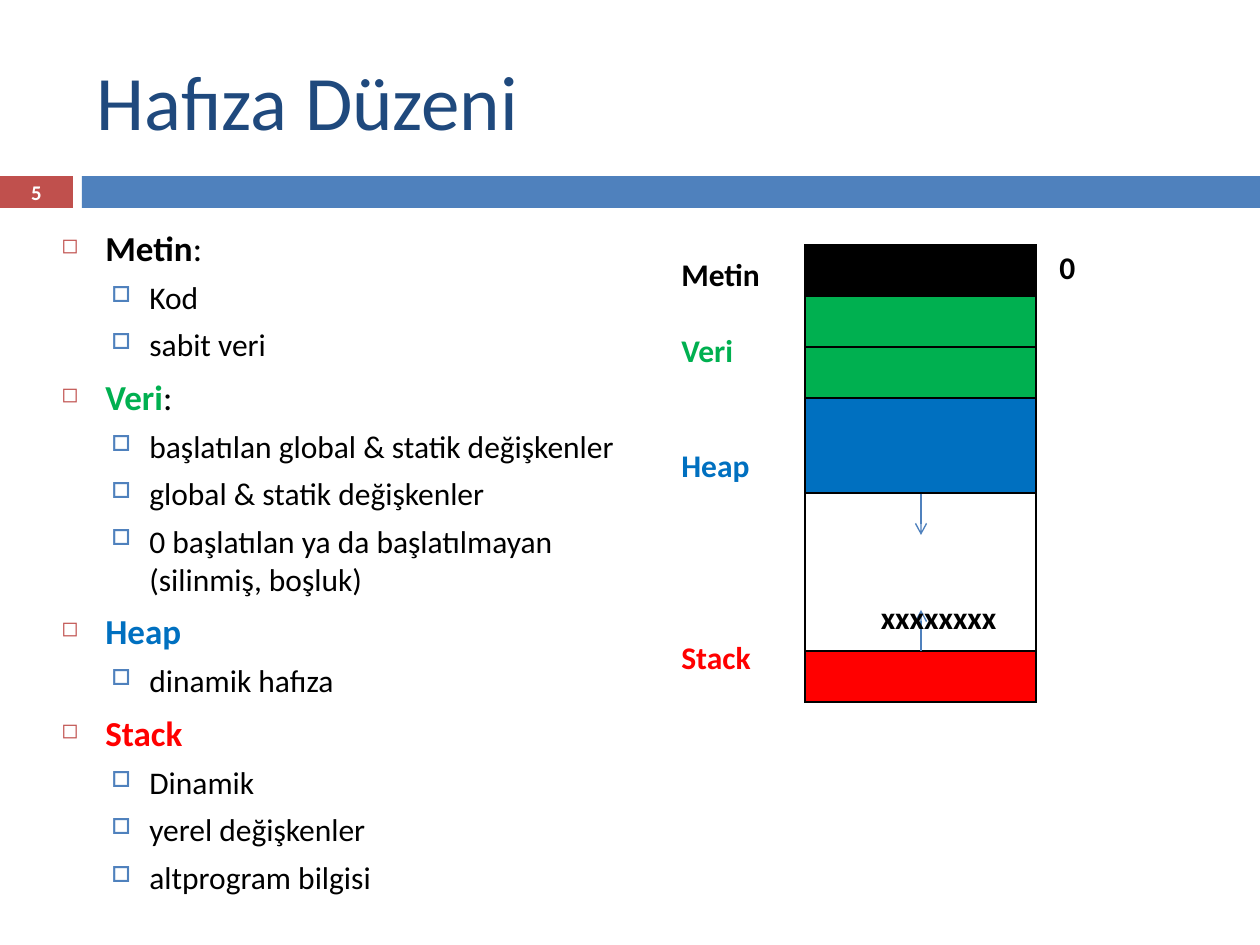
from lxml import etree
from pptx import Presentation
from pptx import util as u
from pptx.dml.color import RGBColor
from pptx.enum import shapes, text
from pptx.oxml import ns

PX = 914400 / 126
FONT = "Calibri"
BLACK = RGBColor(0x00, 0x00, 0x00)
WHITE = RGBColor(0xFF, 0xFF, 0xFF)
NAVY = RGBColor(0x1F, 0x49, 0x7D)
BLUE = RGBColor(0x4F, 0x81, 0xBD)
BRICK = RGBColor(0xC0, 0x50, 0x4D)
GREEN = RGBColor(0x00, 0xB0, 0x50)
HEAP_BLUE = RGBColor(0x00, 0x70, 0xC0)
RED = RGBColor(0xFF, 0x00, 0x00)

# Heading, colour, text after the heading, sub-points
SECTIONS = [
    ("Metin", BLACK, ":", ["Kod", "sabit veri"]),
    ("Veri", GREEN, ":", ["başlatılan global & statik değişkenler",
                          "global & statik değişkenler",
                          "0 başlatılan ya da başlatılmayan (silinmiş, boşluk)"]),
    ("Heap", HEAP_BLUE, "", ["dinamik hafıza"]),
    ("Stack", RED, "", ["Dinamik", "yerel değişkenler", "altprogram bilgisi"]),
]
# Per outline level: bullet, its colour, its size in %, margin, indent, space before
LEVELS = [("◻", BRICK, 60, 44, -44, 7), ("□", BLUE, 70, 88, -38, 5.5)]
# Lines of space above each memory label
LABEL_GAPS = [0, 1, 2, 4]
LINE_POINTS = 22
MEMORY_ROWS = [(51, BLACK), (51, GREEN), (51, GREEN), (95, HEAP_BLUE),
               (158, WHITE), (51, RED)]


def px(value):
    return u.Emu(round(value * PX))


def add_element(parent, tag, **attributes):
    element = etree.SubElement(parent, ns.qn(tag))
    for name, value in attributes.items():
        element.set(name, str(value))
    return element


def add_span(para, words, size, color, bold=False):
    span = para.add_run()
    span.text = words
    values = {"name": FONT, "size": u.Pt(size), "bold": bold}
    for name, value in values.items():
        setattr(span.font, name, value)
    span.font.color.rgb = color


def add_box(page, left, top, width, height, anchor=text.MSO_ANCHOR.TOP):
    box = page.shapes.add_textbox(*map(px, (left, top, width, height)))
    box.text_frame.word_wrap = True
    box.text_frame.vertical_anchor = anchor
    return box


def add_label(page, place, words, size, color, align, **box_format):
    para = add_box(page, *place, **box_format).text_frame.paragraphs[0]
    para.alignment = align
    add_span(para, words, size, color, bold=True)


def next_para(frame, first):
    return frame.paragraphs[0] if first else frame.add_paragraph()


def add_bar(page, left, width, color):
    bar = page.shapes.add_shape(shapes.MSO_SHAPE.RECTANGLE,
                                px(left), px(176), px(width), px(32))
    bar.shadow.inherit = False
    bar.fill.solid()
    bar.fill.fore_color.rgb = color
    bar.line.fill.background()


def set_title(page, words):
    title = page.shapes.title
    place = {"left": 84, "top": 32, "width": 1124, "height": 136}
    for name, value in place.items():
        setattr(title, name, px(value))
    title.text_frame.vertical_anchor = text.MSO_ANCHOR.MIDDLE
    para = title.text_frame.paragraphs[0]
    para.alignment = text.PP_ALIGN.LEFT
    add_span(para, words, 44, NAVY)


def format_bullet(para, level, first):
    char, color, percent, margin, indent, before = LEVELS[level]
    para.level = level
    props = para._p.get_or_add_pPr()
    props.set("marL", str(px(margin)))
    props.set("indent", str(px(indent)))
    add_element(add_element(props, "a:buClr"), "a:srgbClr", val=color)
    add_element(props, "a:buSzPct", val=percent * 1000)
    add_element(props, "a:buChar", char=char)
    if not first:
        para.space_before = u.Pt(before)


def add_outline(page):
    frame = add_box(page, 49, 220, 591, 725).text_frame
    for index, (heading, color, suffix, points) in enumerate(SECTIONS):
        para = next_para(frame, index == 0)
        format_bullet(para, 0, index == 0)
        add_span(para, heading, 20, color, bold=True)
        if suffix:
            add_span(para, suffix, 20, BLACK)
        for point in points:
            para = frame.add_paragraph()
            format_bullet(para, 1, False)
            add_span(para, point, 18, BLACK)


def add_memory_labels(page):
    frame = add_box(page, 669, 249, 262, 433).text_frame
    for index, (section, gap) in enumerate(zip(SECTIONS, LABEL_GAPS)):
        para = next_para(frame, index == 0)
        if gap:
            para.space_before = u.Pt(gap * LINE_POINTS)
        add_span(para, section[0], 18, section[1], bold=True)


def add_memory_table(page):
    total = sum(height for height, _ in MEMORY_ROWS)
    table = page.shapes.add_table(len(MEMORY_ROWS), 1, px(805), px(245),
                                  px(231), px(total)).table
    for name in ("first_row", "horz_banding"):
        setattr(table, name, False)
    for index, (height, color) in enumerate(MEMORY_ROWS):
        table.rows[index].height = px(height)
        cell = table.cell(index, 0)
        props = cell._tc.get_or_add_tcPr()
        for side in "LRTB":
            border = add_element(props, f"a:ln{side}", w=u.Pt(1))
            fill = add_element(border, "a:solidFill")
            add_element(fill, "a:srgbClr", val=BLACK)
        cell.fill.solid()
        cell.fill.fore_color.rgb = color


def add_arrow(page, x, start, end):
    arrow = page.shapes.add_connector(shapes.MSO_CONNECTOR.STRAIGHT,
                                      px(x), px(start), px(x), px(end))
    arrow.line.color.rgb = BLUE
    arrow.line.width = u.Pt(0.79)
    add_element(arrow.line._get_or_add_ln(), "a:tailEnd", type="arrow")
    add_element(arrow._element.spPr, "a:effectLst")


def main():
    deck = Presentation()
    deck.slide_width, deck.slide_height = px(1260), px(945)
    page = deck.slides.add_slide(deck.slide_layouts[5])

    # Header
    add_bar(page, 0, 73, BRICK)
    add_bar(page, 82, 1178, BLUE)
    set_title(page, "Hafıza Düzeni")
    add_label(page, (0, 175, 73, 34), "5", 11.9, WHITE,
              text.PP_ALIGN.CENTER, anchor=text.MSO_ANCHOR.MIDDLE)

    # Outline on the left
    add_outline(page)

    # Memory layout on the right
    add_memory_labels(page)
    add_memory_table(page)
    add_arrow(page, 921, 651, 610)
    add_arrow(page, 921, 494, 535)
    add_label(page, (1047, 242, 42, 50), "0", 18, BLACK, text.PP_ALIGN.LEFT)
    add_label(page, (820, 592, 189, 50), "xxxxxxxx", 18, BLACK,
              text.PP_ALIGN.RIGHT)

    deck.save("out.pptx")


if __name__ == "__main__":
    main()
